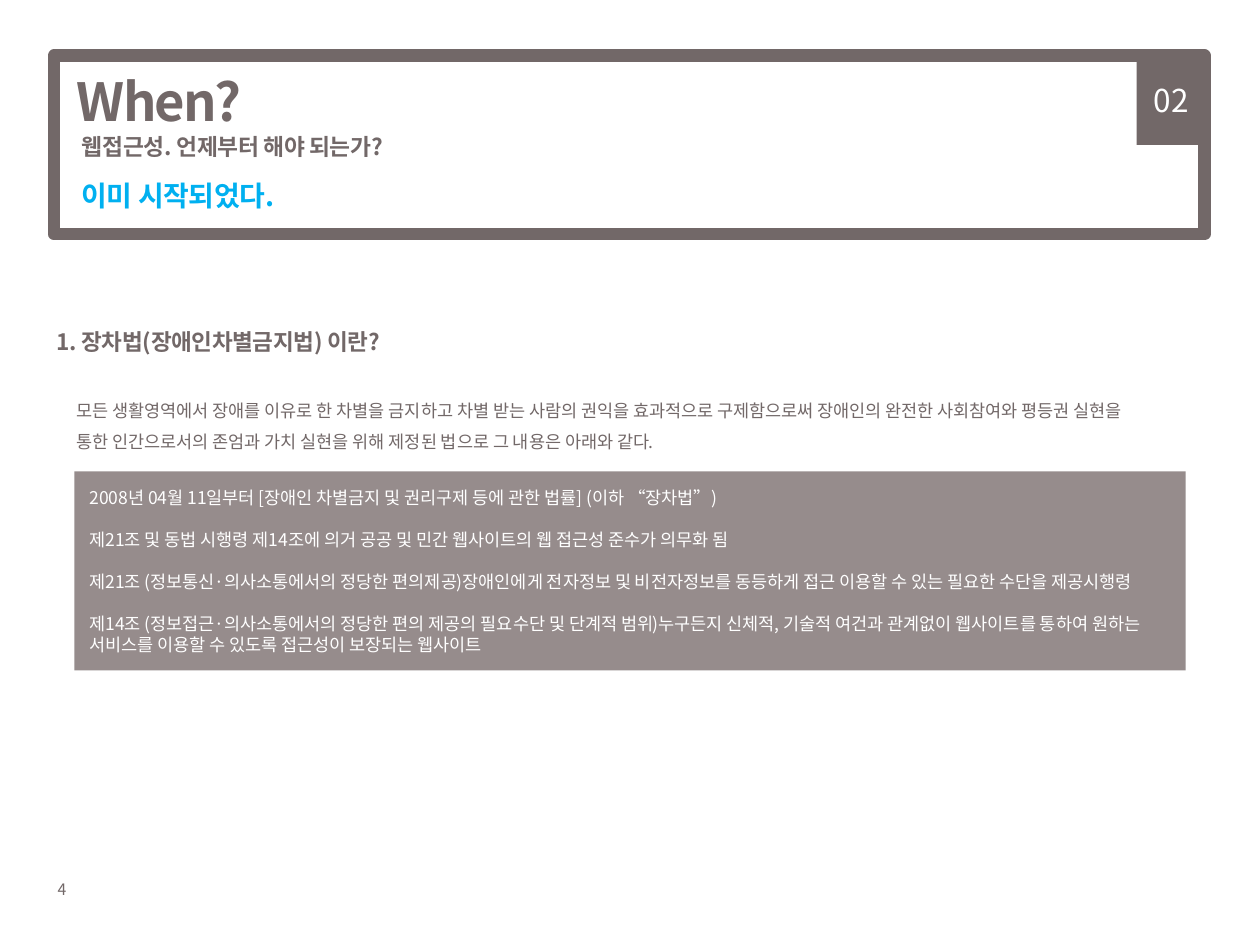
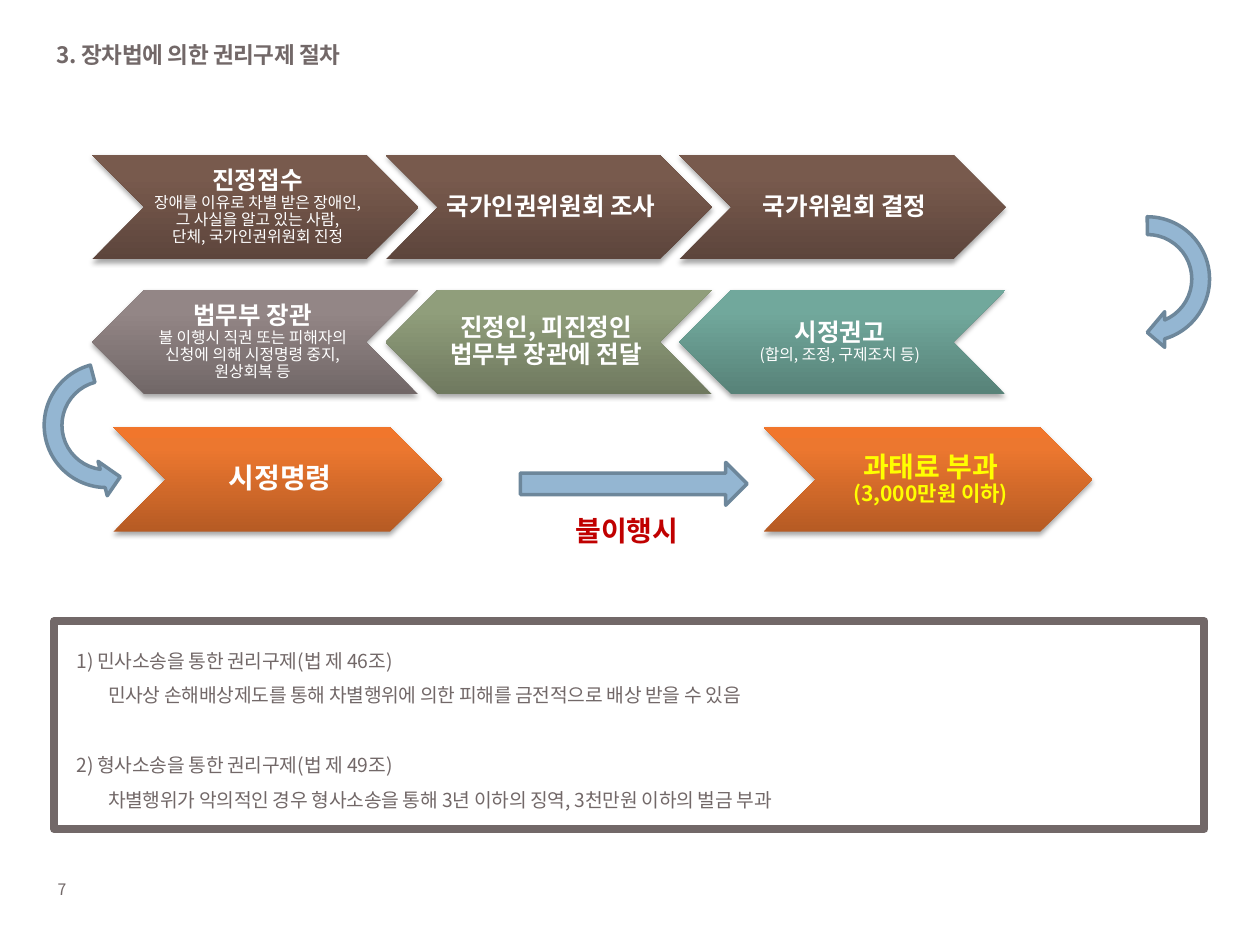
from copy import deepcopy
from lxml.etree import SubElement as Sub
from pptx import Presentation
from pptx.dml.color import RGBColor
from pptx.enum.shapes import MSO_SHAPE as Kind
from pptx.enum.text import MSO_ANCHOR as Anchor, MSO_AUTO_SIZE as Fit, PP_ALIGN as Align
from pptx.oxml import parse_xml
from pptx.oxml.ns import nsdecls, qn
from pptx.util import Inches, Pt

FONT = "Noto Sans CJK KR"
COLS, ROWS = 100, 75        # grid of the slide
CELL = Inches(0.1)
GREY, PALE, WHITE = "726868", "968C8C", "FFFFFF"
CYAN, RED, YELLOW = "00B0F0", "C00000", "FFFF00"
BLUE, EDGE = "94B6D2", "6D879B"
HEAD = [(12.9, True, -0.2)]  # size, bold, letter spacing

# Gradient stops from bottom to top
BROWN = ("5D453C", "785A4D", "7A5A4D")
TEAL = ("578278", "71A89C", "70AA9D")
OLIVE = ("6F795F", "909E7B", "919F7B")
MAUVE = ("716767", "938686", "948787")
ORANGE = ("B65B24", "EC772F", "F1762C")


def rgb(code):
    return RGBColor.from_string(code)


def grid(*cells):
    return [round(n * CELL) for n in cells]


def place(shape, spot):
    shape.left, shape.top, shape.width, shape.height = grid(*spot)


# ---- Text ----
def style(run, look, color):
    size, bold, space = look
    font = run.font
    font.size, font.bold, font.name = Pt(size), bold, FONT
    font.color.rgb = rgb(color)
    props = run._r.get_or_add_rPr()
    Sub(props, qn("a:ea")).set("typeface", FONT)
    if space:
        props.set("spc", str(round(space * 100)))


def write(shape, lines, looks, color=GREY, align=Align.LEFT, anchor=Anchor.TOP,
          lead=None, gap=0, hang=0, pads=(0.1, 0.05, 0.1, 0.05), wrap=True):
    """Fill a shape; each line of a paragraph takes the next look."""
    frame = shape.text_frame
    frame.auto_size, frame.word_wrap = Fit.NONE, wrap
    frame.vertical_anchor = anchor
    (frame.margin_left, frame.margin_top,
     frame.margin_right, frame.margin_bottom) = [Inches(p) for p in pads]
    frame.text = "\n".join(lines)
    for i, par in enumerate(frame.paragraphs):
        par.alignment, par.line_spacing = align, lead
        if i and gap:
            par.space_before = Pt(gap)
        if hang:
            props = par._p.get_or_add_pPr()
            props.set("marL", str(Inches(hang)))
            props.set("indent", str(-Inches(hang)))
        for j, run in enumerate(par.runs):
            style(run, looks[min(j, len(looks) - 1)], color)
        for node in par._p.findall(qn("a:br")):
            node.insert(0, deepcopy(node.getprevious().find(qn("a:rPr"))))


def label(slide, spot, lines, looks, **opts):
    box = slide.shapes.add_textbox(*grid(*spot))
    write(box, lines, looks, **opts)


def title(slide, spot, line, looks, **opts):
    place(slide.shapes.title, spot)
    write(slide.shapes.title, [line], looks, **opts)


# ---- Shapes ----
def draw(slide, kind, spot, fill=None, edge=None, width=0, turn=0):
    shape = slide.shapes.add_shape(kind, *grid(*spot))
    shape.shadow.inherit = False
    shape.rotation = turn
    if fill:
        shape.fill.solid()
        shape.fill.fore_color.rgb = rgb(fill)
    else:
        shape.fill.background()
    if edge:
        shape.line.color.rgb = rgb(edge)
        shape.line.width = Pt(width)
    else:
        shape.line.fill.background()
    return shape


def arrow(slide, kind, spot, turn=0):
    return draw(slide, kind, spot, BLUE, EDGE, 2, turn)


def shade(shape, stops):
    """Vertical gradient that stays upright, with a soft shadow."""
    marks = "".join(f'<a:gs pos="{pos}"><a:srgbClr val="{code}"/></a:gs>'
                    for pos, code in zip((0, 80000, 100000), stops))
    props = shape._element.spPr
    props.replace(props.find(qn("a:noFill")), parse_xml(
        f'<a:gradFill rotWithShape="0" {nsdecls("a")}><a:gsLst>{marks}</a:gsLst>'
        '<a:lin ang="16200000" scaled="0"/></a:gradFill>'))
    props.find(qn("a:effectLst")).append(parse_xml(
        f'<a:outerShdw blurRad="{Pt(3.1)}" dist="{Pt(1.8)}" dir="5400000" '
        f'rotWithShape="0" {nsdecls("a")}><a:srgbClr val="000000">'
        '<a:alpha val="35000"/></a:srgbClr></a:outerShdw>'))


def step(slide, left, top, text, stops, sizes=(14, 9), back=False,
         color=WHITE, wide=25.9):
    high, inset = 8.3, 3.8
    shape = draw(slide, Kind.CHEVRON, (left, top, wide, high), turn=180 * back)
    shade(shape, stops)
    pads = (0.02, 0.02, 0.06, 0.02) if back else (0.06, 0.02, 0.02, 0.02)
    label(slide, (left + inset, top, wide - 2 * inset, high), [text],
          [(size, size > 9, 0) for size in sizes], color=color,
          align=Align.CENTER, anchor=Anchor.MIDDLE, lead=0.9, pads=pads)


def page(deck, number):
    slide = deck.slides.add_slide(deck.slide_layouts[5])
    label(slide, (3.6, 69.3, 5.2, 2.5), [number], [(9, False, 0)], wrap=False)
    return slide


# ---- Slides ----
def law(deck):
    slide = page(deck, "4")
    # Title band
    draw(slide, Kind.RECTANGLE, (4.3, 4.4, 91.3, 14.2), edge=GREY, width=7)
    title(slide, (5.1, 4.4, 71.7, 9.4), "When?\v 웹접근성. 언제부터 해야 되는가?",
          [(30, True, -1), (13, True, -0.2)], anchor=Anchor.MIDDLE)
    label(slide, (5.5, 13.7, 87.8, 3.7), ["이미 시작되었다."],
          [(16, True, -0.2)], color=CYAN)
    tab = draw(slide, Kind.RECTANGLE, (90.2, 4.4, 5.5, 7.1), GREY)
    write(tab, ["02"], [(18, False, 0)], WHITE, Align.CENTER, Anchor.MIDDLE)

    # Definition of the law
    label(slide, (3.5, 24.9, 36.2, 3.9), ["1. 장차법(장애인차별금지법) 이란?"],
          HEAD, lead=1.3, hang=0.25)
    label(slide, (5.1, 30.4, 89.8, 5.8), [
        "모든 생활영역에서 장애를 이유로 한 차별을 금지하고 차별 받는 사람의 권익을 "
        "효과적으로 구제함으로써 장애인의 완전한 사회참여와 평등권 실현을",
        "통한 인간으로서의 존엄과 가치 실현을 위해 제정된 법으로 그 내용은 아래와 같다.",
    ], [(10, False, 0)], lead=1.5)

    # Articles
    panel = draw(slide, Kind.RECTANGLE, (5.9, 37.4, 88.2, 15.8), PALE)
    write(panel, [
        "2008년 04월 11일부터 [장애인 차별금지 및 권리구제 등에 관한 법률] (이하 “장차법”)",
        "제21조 및 동법 시행령 제14조에 의거 공공 및 민간 웹사이트의 웹 접근성 준수가 의무화 됨",
        "제21조 (정보통신·의사소통에서의 정당한 편의제공)장애인에게 전자정보 및 "
        "비전자정보를 동등하게 접근 이용할 수 있는 필요한 수단을 제공시행령",
        "제14조 (정보접근·의사소통에서의 정당한 편의 제공의 필요수단 및 단계적 범위)"
        "누구든지 신체적, 기술적 여건과 관계없이 웹사이트를 통하여 "
        "원하는 서비스를 이용할 수 있도록 접근성이 보장되는 웹사이트",
    ], [(10, False, 0)], WHITE, anchor=Anchor.MIDDLE, gap=12, pads=(0.12,) * 4)


def relief(deck):
    slide = page(deck, "7")
    title(slide, (3.5, 2.1, 36.2, 3.9), "3. 장차법에 의한 권리구제 절차",
          HEAD, lead=1.3, hang=0.25)

    # Two rows of steps, the second running back to the left
    there = [
        ("진정접수\v장애를 이유로 차별 받은 장애인,\v그 사실을 알고 있는 사람,"
         "\v단체, 국가인권위원회 진정", BROWN, (14, 9)),
        ("국가인권위원회 조사", BROWN, (14,)),
        ("국가위원회 결정", BROWN, (14,)),
    ]
    back = [
        ("법무부 장관\v불 이행시 직권 또는 피해자의 신청에 의해 시정명령 중지, 원상회복 등",
         MAUVE, (14, 9)),
        ("진정인, 피진정인\v법무부 장관에 전달", OLIVE, (14,)),
        ("시정권고\v(합의, 조정, 구제조치 등)", TEAL, (14, 9)),
    ]
    for top, row in ((12.3, there), (23, back)):
        for i, (text, stops, sizes) in enumerate(row):
            step(slide, 7.3 + 23.3 * i, top, text, stops, sizes, row is back)

    # Order and fine
    step(slide, 9, 33.9, "시정명령", ORANGE, (16,), wide=26.1)
    step(slide, 60.6, 33.9, "과태료 부과\v(3,000만원 이하)", ORANGE, (16, 12),
         color=YELLOW, wide=26.1)

    # Arrows between the rows
    arrow(slide, Kind.CIRCULAR_ARROW, (85.4, 16.5, 11.3, 11.3), 90)
    bend = arrow(slide, Kind.CIRCULAR_ARROW, (2.8, 28.1, 11.3, 11.3), 75)
    bend._element.spPr.find(qn("a:xfrm")).set("flipV", "1")
    arrow(slide, Kind.RIGHT_ARROW, (41.3, 36.7, 18, 3.4))
    label(slide, (44.7, 40.3, 11.7, 3.7), ["불이행시"], [(16, True, 0)], color=RED)

    # Lawsuits
    label(slide, (5.1, 50.1, 62.2, 14.9), [
        "1) 민사소송을 통한 권리구제(법 제 46조)"
        "\v민사상 손해배상제도를 통해 차별행위에 의한 피해를 금전적으로 배상 받을 수 있음",
        "2) 형사소송을 통한 권리구제(법 제 49조)"
        "\v차별행위가 악의적인 경우 형사소송을 통해 3년 이하의 징역, 3천만원 이하의 벌금 부과",
    ], [(11, False, -0.2)], lead=1.5, gap=20, hang=0.25)
    draw(slide, Kind.RECTANGLE, (4.3, 49.3, 91.3, 16.5), edge=GREY, width=4.5)


def main():
    deck = Presentation()
    deck.slide_width, deck.slide_height = grid(COLS, ROWS)
    law(deck)
    relief(deck)
    deck.save("out.pptx")


if __name__ == "__main__":
    main()
